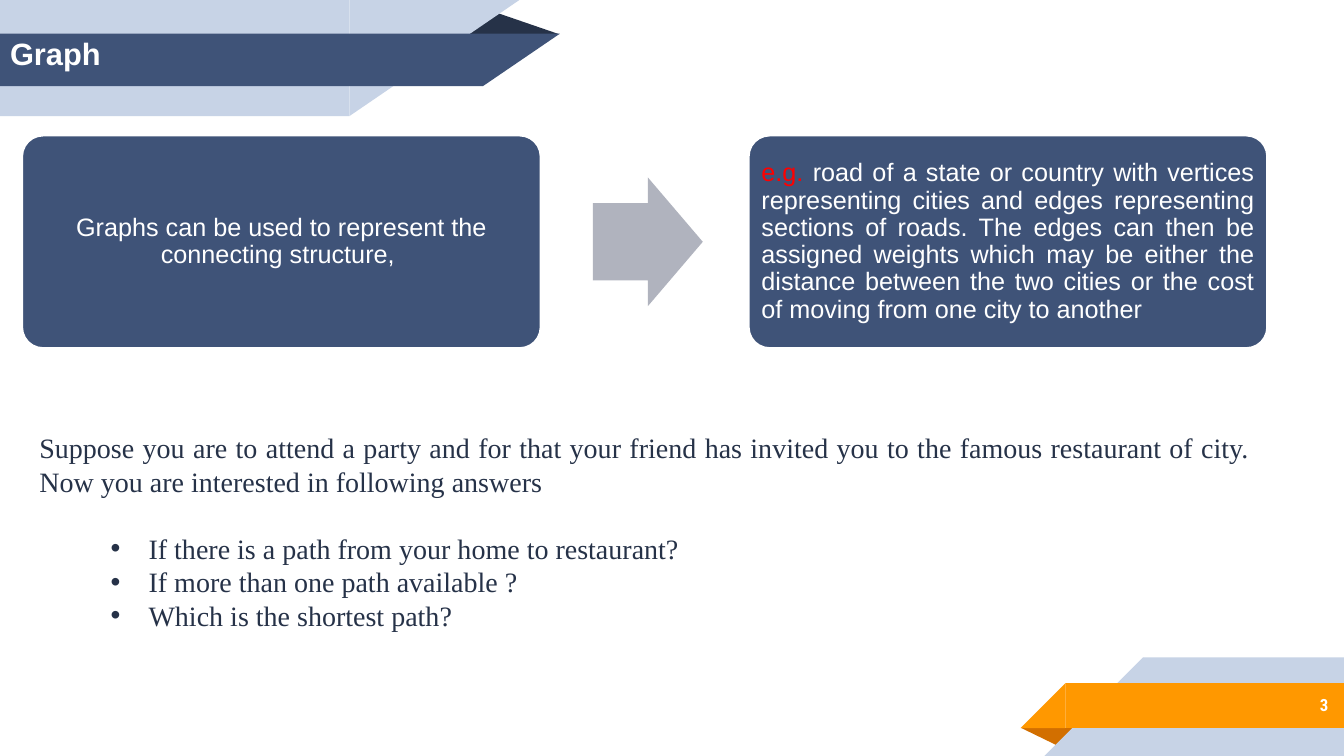
from pptx import Presentation
from pptx.dml.color import RGBColor
from pptx.enum.shapes import MSO_SHAPE
from pptx.enum.text import MSO_ANCHOR, MSO_AUTO_SIZE, PP_ALIGN
from pptx.oxml.ns import qn
from pptx.util import Pt
from lxml import etree

RECT, RIGHT_TRIANGLE = MSO_SHAPE.RECTANGLE, MSO_SHAPE.RIGHT_TRIANGLE
FOLD, CARD, ARROW = MSO_SHAPE.ISOSCELES_TRIANGLE, MSO_SHAPE.ROUNDED_RECTANGLE, MSO_SHAPE.RIGHT_ARROW
TOP, MIDDLE = MSO_ANCHOR.TOP, MSO_ANCHOR.MIDDLE
LEFT, CENTER, RIGHT, JUSTIFY = PP_ALIGN.LEFT, PP_ALIGN.CENTER, PP_ALIGN.RIGHT, PP_ALIGN.JUSTIFY
NO_AUTOFIT = MSO_AUTO_SIZE.NONE

NAVY, INK, PALE, GREY = "3F5378", "263248", "C7D3E6", "B0B3BE"
ORANGE, RUST, RED, WHITE = "FF9800", "D26F00", "FF0000", "FFFFFF"
SANS, SERIF, NUMBER_FONT = "Arial", "Times New Roman", "Roboto Condensed"
WIDTH, HEIGHT = 960, 540


def rgb(value):
    return RGBColor.from_string(value)


def points(box):
    return [Pt(length) for length in box]


def add_block(slide, kind, box, fill, adjustments=(), rotation=0, flip=False):
    block = slide.shapes.add_shape(kind, *points(box))
    block.shadow.inherit = False
    block.fill.solid()
    block.fill.fore_color.rgb = rgb(fill)
    block.line.fill.background()
    for index, value in enumerate(adjustments):
        block.adjustments[index] = value
    block.rotation = rotation
    if flip:
        block.element.spPr.find(qn("a:xfrm")).set("flipH", "1")
    return block


def format_frame(frame, anchor, side=7.2, edge=3.6):
    frame.word_wrap = True
    frame.auto_size = NO_AUTOFIT
    frame.vertical_anchor = anchor
    frame.margin_left = frame.margin_right = Pt(side)
    frame.margin_top = frame.margin_bottom = Pt(edge)


def format_paragraph(paragraph, align, font, size, color, bold=False):
    paragraph.alignment = align
    paragraph.font.name = font
    paragraph.font.size = Pt(size)
    paragraph.font.bold = bold
    paragraph.font.color.rgb = rgb(color)


def add_text(slide, box, anchor=TOP):
    frame = slide.shapes.add_textbox(*points(box)).text_frame
    format_frame(frame, anchor)
    return frame


def add_bullet(paragraph, indent):
    properties = paragraph._p.get_or_add_pPr()
    properties.set("marL", str(Pt(indent)))
    properties.set("indent", str(-Pt(indent)))
    etree.SubElement(properties, qn("a:buFont"), typeface=SANS)
    etree.SubElement(properties, qn("a:buChar"), char="•")


def title_banner(slide, x, y):
    """Slanted bands at the top left, with the title on the dark one."""
    add_block(slide, FOLD, (x + 328.5, y + 8, 71, 16.5), INK, [0.324])
    bands = [(y, 83, 249.5, 121.5, PALE), (y + 24, 37.5, 345, 55, NAVY)]
    for top, height, straight, slant, color in bands:
        add_block(slide, RECT, (x, top, straight, height), color)
        add_block(slide, RIGHT_TRIANGLE, (x + straight, top, slant, height), color,
                  rotation=180, flip=True)

    title = slide.shapes.title
    title.left, title.top, title.width, title.height = points((x, y + 21, 695.5, 75.5))
    title.text_frame.text = "Graph"
    format_frame(title.text_frame, TOP)
    format_paragraph(title.text_frame.paragraphs[0], LEFT, SANS, 22, WHITE, True)
    slide.shapes._spTree.append(title.element)  # bring in front of the bands


def number_banner(slide, right, bottom):
    """Slanted bands at the bottom right, with the slide number."""
    add_block(slide, FOLD, (right - 230.5, bottom - 20, 41, 13.5), RUST, [0.324], rotation=180)
    bands = [(bottom - 70.5, 70.5, 143.5, PALE), (bottom - 52, 32, 199, ORANGE)]
    for top, height, straight, color in bands:
        add_block(slide, RECT, (right - straight, top, straight, height), color)
        add_block(slide, RIGHT_TRIANGLE, (right - straight - height, top, height, height),
                  color, flip=True)

    number = add_text(slide, (right - 160, bottom - 53, 156, 33), MIDDLE).paragraphs[0]
    number.text = "3"
    format_paragraph(number, RIGHT, NUMBER_FONT, 12, WHITE, True)


def use_and_example(slide, x, y):
    """Two cards, with an arrow from the use of graphs to an example."""
    width, height, step = 371, 152.5, 519
    cards = [
        (CENTER, [("Graphs can be used to represent the connecting structure, ", WHITE)]),
        (JUSTIFY, [("e.g. ", RED),
                   ("road of a state or country with vertices representing cities and edges "
                    "representing sections of roads. The edges can then be assigned weights "
                    "which may be either the distance between the two cities or the cost of "
                    "moving from one city to another ", WHITE)]),
    ]
    for index, (align, parts) in enumerate(cards):
        card = add_block(slide, CARD, (x + index * step, y, width, height), NAVY, [0.1])
        card.line.color.rgb = rgb(WHITE)
        card.line.width = Pt(2)
        format_frame(card.text_frame, MIDDLE, 5, 5)
        paragraph = card.text_frame.paragraphs[0]
        format_paragraph(paragraph, align, SANS, 18, WHITE)
        paragraph.line_spacing = 0.9
        for text, color in parts:
            run = paragraph.add_run()
            run.text = text
            if color != WHITE:
                run.font.color.rgb = rgb(color)
    add_block(slide, ARROW, (x + 408, y + 30.25, 78.5, 92), GREY, [0.6, 0.5])


def party_questions(slide, x, y):
    """Introductory sentence and the bulleted questions under it."""
    intro = add_text(slide, (x, y, 879, 55.5)).paragraphs[0]
    intro.text = ("Suppose you are to attend a party and for that your friend has invited you to "
                  "the famous restaurant of city. Now you are interested in following answers")
    format_paragraph(intro, JUSTIFY, SERIF, 20, INK)

    questions = add_text(slide, (x + 51, y + 72, 480, 80))
    questions.text = ("If there is a path from your home to restaurant?\n"
                      "If more than one path available ?\n"
                      "Which is the shortest path?")
    for question in questions.paragraphs:
        format_paragraph(question, JUSTIFY, SERIF, 20, INK)
        add_bullet(question, 27)


def main():
    deck = Presentation()
    deck.slide_width, deck.slide_height = Pt(WIDTH), Pt(HEIGHT)
    slide = deck.slides.add_slide(deck.slide_layouts.get_by_name("Title Only"))
    title_banner(slide, 0, 0)
    number_banner(slide, WIDTH, HEIGHT)
    use_and_example(slide, 15.5, 96.5)
    party_questions(slide, 21, 304)
    deck.save("out.pptx")


if __name__ == "__main__":
    main()
